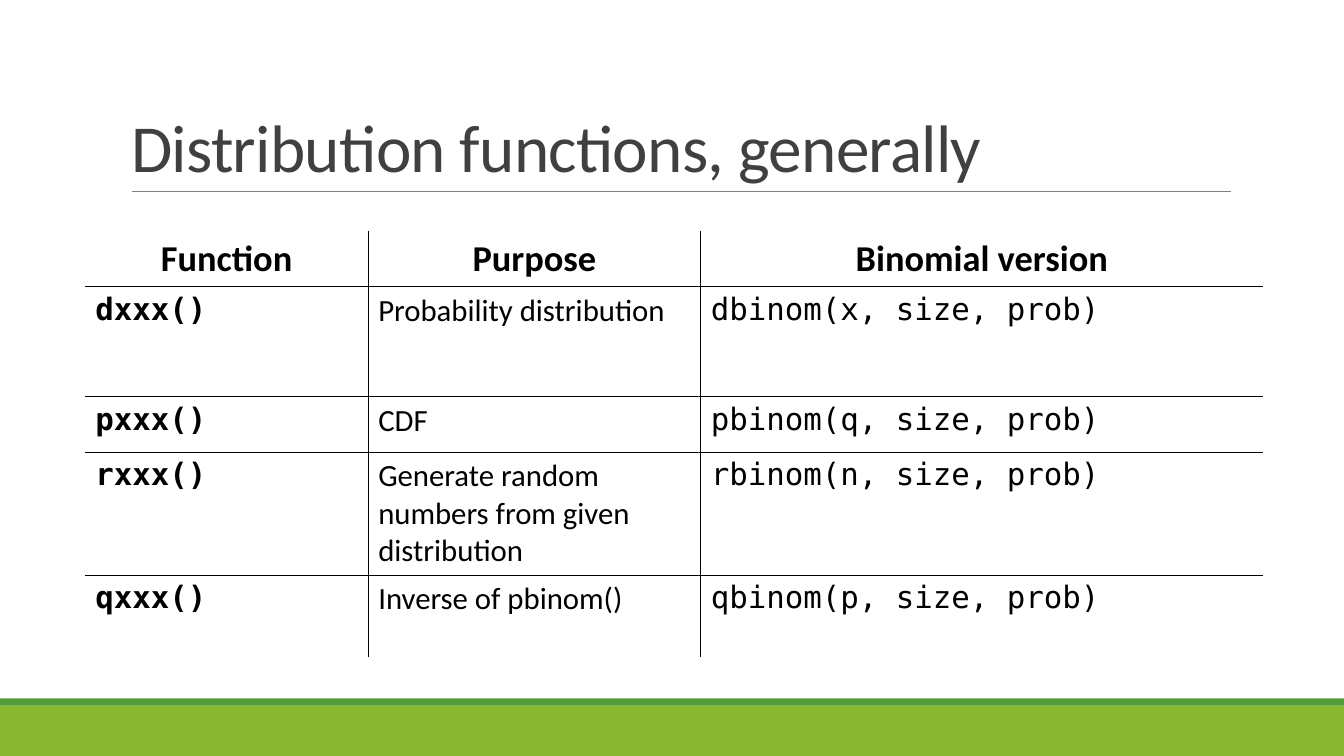
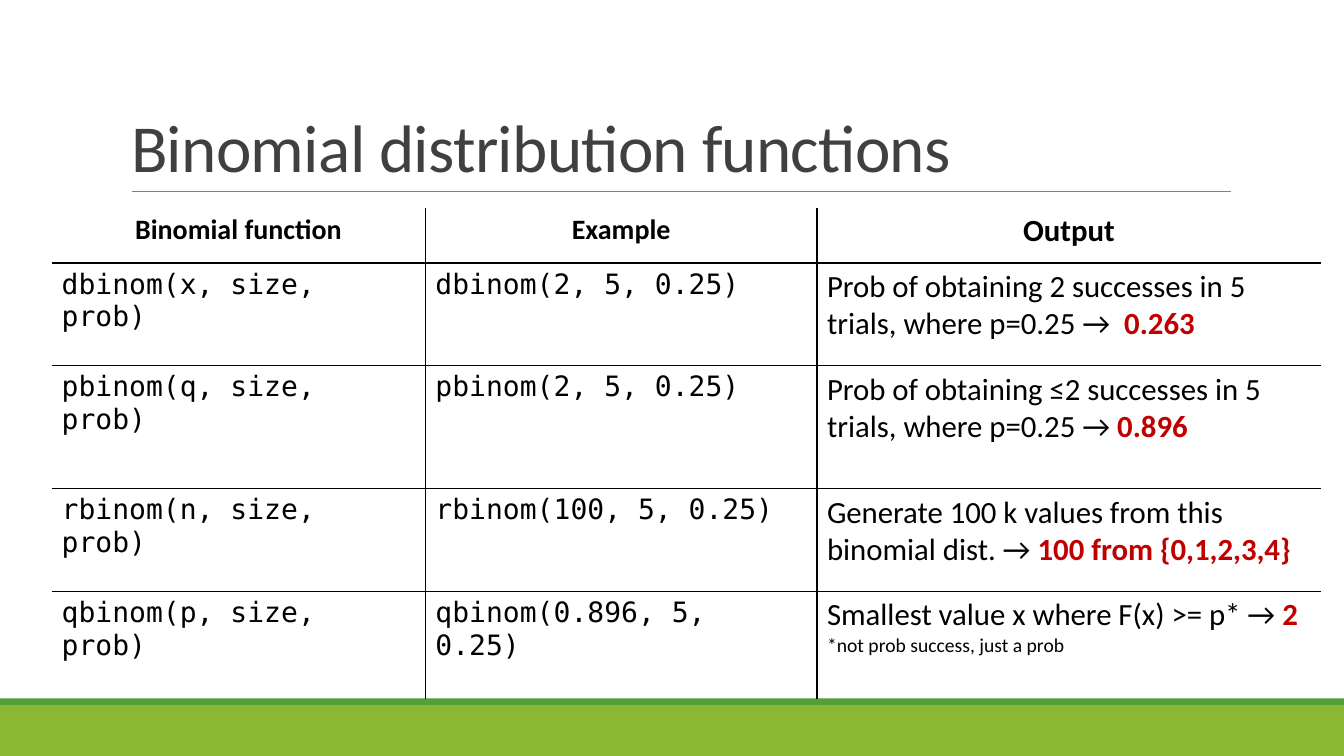
from pptx import Presentation
from pptx.dml.color import RGBColor
from pptx.enum.shapes import MSO_CONNECTOR as LINK, MSO_SHAPE as SHAPE
from pptx.enum.text import MSO_ANCHOR as ANCHOR, MSO_AUTO_SIZE as FIT, PP_ALIGN as ALIGN
from pptx.oxml.ns import qn
from pptx.util import Cm, Pt
from lxml.etree import SubElement

BLACK = RGBColor(0x00, 0x00, 0x00)
DARK = RGBColor(0x40, 0x40, 0x40)
GRAY = RGBColor(0x80, 0x80, 0x80)
RED = RGBColor(0xC0, 0x00, 0x00)
LIME = RGBColor(0x8A, 0xB8, 0x33)
GREEN = RGBColor(0x54, 0x9E, 0x39)
SANS, MONO = "Calibri", "DejaVu Sans Mono"
PLAIN = "{2D5ABB26-0587-4C30-8999-92F81FD0307C}"  # table style without grid


def write(para, text, size=22, face=SANS, bold=False, color=BLACK, align=ALIGN.LEFT):
    para.alignment = align
    run = para.add_run()
    run.text = text
    font = run.font
    font.size, font.name, font.bold = Pt(size), face, bold
    font.color.rgb = color
    return run


def edge(cell, side, shown):
    """Draw one border of a cell, or clear it."""
    line = SubElement(cell._tc.get_or_add_tcPr(), qn("a:ln" + side), w=str(Pt(1)))
    if shown:
        fill = SubElement(line, qn("a:solidFill"))
        SubElement(fill, qn("a:srgbClr"), val=str(BLACK))
    else:
        SubElement(line, qn("a:noFill"))


# Each head is (text, size); each style is (size, face, bold) for a column's body.
# An output cell is (text, answer) or (text, answer, note).
PAGES = [
    dict(
        title="Distribution functions, generally",
        at=(2.15, 5.83),
        cols=[7.13, 8.38, 14.18],
        rows=[1.4, 2.77, 1.4, 3.1, 2.06],
        heads=[("Function", 26), ("Purpose", 26), ("Binomial version", 26)],
        styles=[(22, MONO, True), (22, SANS, False), (22, MONO, False)],
        body=[
            ["dxxx()", "Probability distribution", "dbinom(x, size, prob)"],
            ["pxxx()", "CDF", "pbinom(q, size, prob)"],
            ["rxxx()", "Generate random numbers from given distribution",
             "rbinom(n, size, prob)"],
            ["qxxx()", "Inverse of pbinom()", "qbinom(p, size, prob)"],
        ],
    ),
    dict(
        title="Binomial distribution functions",
        at=(1.3, 5.23),
        cols=[9.42, 9.87, 12.7],
        rows=[1.4, 2.59, 3.1, 2.59, 2.7],
        heads=[("Binomial function", 20), ("Example", 20), ("Output", 22)],
        styles=[(20, MONO, False), (20, MONO, False), (22, SANS, False)],
        body=[
            ["dbinom(x, size, prob)", "dbinom(2, 5, 0.25)",
             ("Prob of obtaining 2 successes in 5 trials, where p=0.25 →  ", "0.263")],
            ["pbinom(q, size, prob)", "pbinom(2, 5, 0.25)",
             ("Prob of obtaining ≤2 successes in 5 trials, where p=0.25 → ", "0.896")],
            ["rbinom(n, size, prob)", "rbinom(100, 5, 0.25)",
             ("Generate 100 k values from this binomial dist. → ",
              "100 from {0,1,2,3,4}")],
            ["qbinom(p, size, prob)", "qbinom(0.896, 5, 0.25)",
             ("Smallest value x where F(x) >= p* → ", "2",
              "*not prob success, just a prob")],
        ],
    ),
]

deck = Presentation()
deck.slide_width, deck.slide_height = Cm(33.87), Cm(19.05)
layout = deck.slide_layouts[5]

# Shared title place
head = layout.placeholders[0]
head.left, head.top, head.width, head.height = Cm(3.05), Cm(0.79), Cm(27.94), Cm(4.04)
head.text_frame.vertical_anchor = ANCHOR.BOTTOM
head.text_frame.auto_size = FIT.NONE

slides = [deck.slides.add_slide(layout) for page in PAGES]

# Shared bands and title rule: drawn on a slide, then moved to the layout
draw = slides[0].shapes
marks = []
for top, high, color in [(17.78, 1.27, LIME), (17.6, 0.18, GREEN)]:
    band = draw.add_shape(SHAPE.RECTANGLE, 0, Cm(top), deck.slide_width, Cm(high))
    band.shadow.inherit = False
    band.fill.solid()
    band.fill.fore_color.rgb = color
    band.line.fill.background()
    marks.append(band)
rule = draw.add_connector(LINK.STRAIGHT, Cm(3.32), Cm(4.82), Cm(31.02), Cm(4.82))
rule.line.color.rgb = GRAY
rule.line.width = Pt(0.5)
SubElement(rule._element.spPr, qn("a:effectLst"))
marks.append(rule)
for num, mark in enumerate(marks):
    mark._element.xpath(".//p:cNvPr")[0].set("id", str(50 + num))
    layout.shapes._spTree.insert(2 + num, mark._element)

for slide, page in zip(slides, PAGES):
    para = slide.shapes.title.text_frame.paragraphs[0]
    para.line_spacing = 0.85
    run = write(para, page["title"], size=48, color=DARK)
    run.font._element.set("spc", "-50")

    cols, rows = page["cols"], page["rows"]
    left, top = page["at"]
    frame = slide.shapes.add_table(len(rows), len(cols), Cm(left), Cm(top),
                                   Cm(sum(cols)), Cm(sum(rows)))
    table = frame.table
    table.horz_banding = False
    table._tbl.tblPr.find(qn("a:tableStyleId")).text = PLAIN
    for col, wide in zip(table.columns, cols):
        col.width = Cm(wide)
    for row, high in zip(table.rows, rows):
        row.height = Cm(high)

    for r, texts in enumerate([page["heads"]] + page["body"]):
        for c, text in enumerate(texts):
            cell = table.cell(r, c)
            for side, shown in [("L", c > 0), ("R", c < len(cols) - 1),
                                ("T", r > 0), ("B", r < len(rows) - 1)]:
                edge(cell, side, shown)
            cell.fill.background()
            para = cell.text_frame.paragraphs[0]
            if r == 0:
                label, size = text
                write(para, label, size=size, bold=True, align=ALIGN.CENTER)
                continue
            size, face, bold = page["styles"][c]
            parts = [text] if isinstance(text, str) else text
            write(para, parts[0], size=size, face=face, bold=bold)
            if len(parts) > 1:
                write(para, parts[1], size=size, bold=True, color=RED)
            for note in parts[2:]:
                write(cell.text_frame.add_paragraph(), note, size=14)

deck.save("out.pptx")
